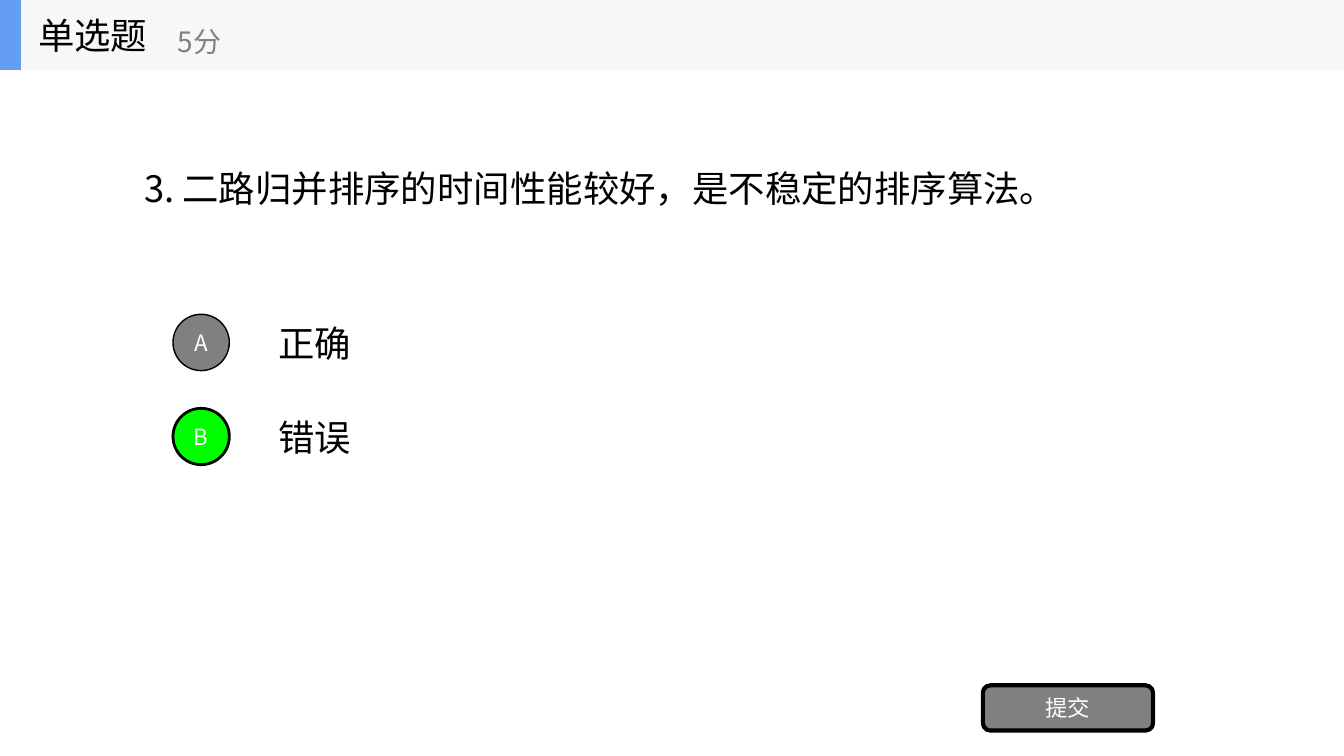
import dataclasses

import lxml.etree
import pptx
import pptx.dml.color
import pptx.enum.shapes
import pptx.enum.text
import pptx.oxml.ns
import pptx.util

Cm = pptx.util.Cm
Pt = pptx.util.Pt
Shape = pptx.enum.shapes.MSO_SHAPE
Align = pptx.enum.text.PP_ALIGN


@dataclasses.dataclass(frozen=True)
class Theme:
    font: str = "Noto Sans CJK SC"
    black: str = "000000"
    white: str = "FFFFFF"
    grey: str = "808080"
    green: str = "00FF00"
    blue: str = "639EF4"
    header: str = "F6F7F8"
    body_size: int = 26
    score_size: int = 20
    button_size: int = 16


theme = Theme()


def write_text(shape, text, size, color, alignment=Align.LEFT):
    frame = shape.text_frame
    frame.word_wrap = True
    frame.vertical_anchor = pptx.enum.text.MSO_ANCHOR.MIDDLE
    paragraph = frame.paragraphs[0]
    paragraph.text = text
    paragraph.alignment = alignment
    font = paragraph.font
    font.size = Pt(size)
    font.color.rgb = pptx.dml.color.RGBColor.from_string(color)
    font.name = theme.font
    # Chinese characters take their typeface from the East Asian font
    east_asian = lxml.etree.SubElement(font._element, pptx.oxml.ns.qn("a:ea"))
    east_asian.set("typeface", theme.font)


def add_filled_shape(shapes, kind, box, fill, line_width=0, label=""):
    """Draw a flat shape; a line width of 0 leaves it without an outline."""
    shape = shapes.add_shape(kind, *map(Cm, box))
    shape.shadow.inherit = False
    shape.fill.solid()
    shape.fill.fore_color.rgb = pptx.dml.color.RGBColor.from_string(fill)
    if line_width:
        shape.line.color.rgb = pptx.dml.color.RGBColor.from_string(theme.black)
        shape.line.width = Pt(line_width)
    else:
        shape.line.fill.background()
    if label:
        frame = shape.text_frame
        frame.margin_left = frame.margin_right = 0
        frame.margin_top = frame.margin_bottom = 0
        write_text(shape, label, theme.button_size, theme.white, Align.CENTER)


presentation = pptx.Presentation()
presentation.slide_width = Cm(33.87)
presentation.slide_height = Cm(19.05)
slide = presentation.slides.add_slide(presentation.slide_layouts[6])

# Question
question = slide.shapes.add_textbox(Cm(3.38), Cm(1.76), Cm(27.09), Cm(5.94))
write_text(question, "3. 二路归并排序的时间性能较好，是不稳定的排序算法。",
           theme.body_size, theme.black)

# Answer options
options = [
    ("A", "正确", theme.grey, 1),
    ("B", "错误", theme.green, 2),
]
for index, (letter, answer, fill, line_width) in enumerate(options):
    top = 7.74 + index * 2.37
    answer_box = slide.shapes.add_textbox(Cm(6.77), Cm(top), Cm(23.71), Cm(1.78))
    write_text(answer_box, answer, theme.body_size, theme.black)
    add_filled_shape(slide.shapes, Shape.OVAL, (4.36, top + 0.18, 1.42, 1.42),
                     fill, line_width, letter)

# Submit button
add_filled_shape(slide.shapes, Shape.ROUNDED_RECTANGLE,
                 (24.77, 17.27, 4.29, 1.14), theme.grey, 3, "提交")

# Header bar
header = slide.shapes.add_group_shape()
add_filled_shape(header.shapes, Shape.RECTANGLE, (0, 0, 33.87, 1.76), theme.header)
add_filled_shape(header.shapes, Shape.RECTANGLE, (0, 0, 0.53, 1.76), theme.blue)
question_type = header.shapes.add_textbox(Cm(0.71), Cm(0), Cm(5.29), Cm(1.76))
write_text(question_type, "单选题", theme.body_size, theme.black)
score = header.shapes.add_textbox(Cm(4.23), Cm(0.32), Cm(6.35), Cm(1.42))
write_text(score, "5分", theme.score_size, theme.grey)

presentation.save("out.pptx")
